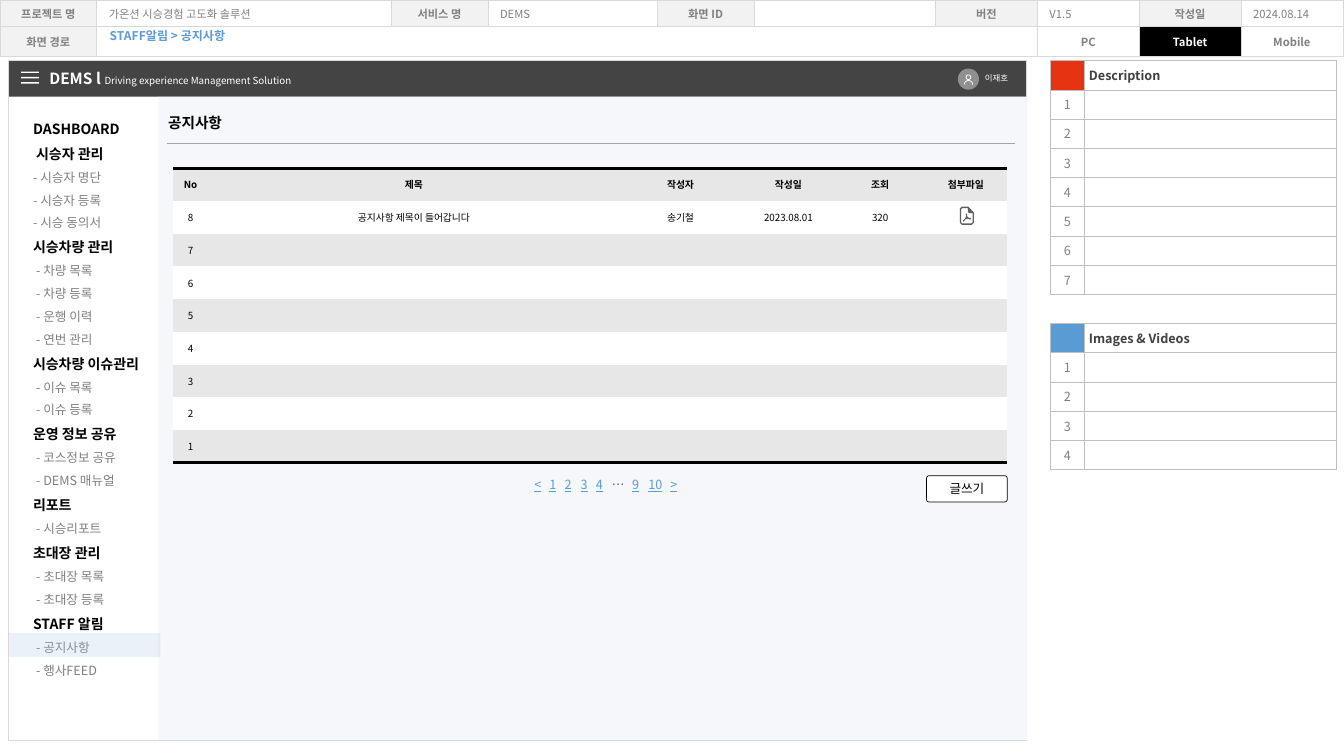
from math import cos, pi, sin

from lxml import etree
from pptx import Presentation
from pptx.dml.color import RGBColor
from pptx.enum.shapes import MSO_CONNECTOR as CONN, MSO_SHAPE as SHAPE
from pptx.enum.text import MSO_ANCHOR as ANCHOR, PP_ALIGN as ALIGN
from pptx.oxml.ns import qn
from pptx.util import Emu, Inches, Pt

W, H = 13.33, 7.5
FONT = "Noto Sans CJK KR"
GREY, BLUE, BAND = "808080", "5B9BD5", "E7E7E7"
NO_STYLE = "{2D5ABB26-0587-4C30-8999-92F81FD0307C}"

MENU = [
    ("DASHBOARD", []),
    ("시승자 관리", ["시승자 명단", "시승자 등록", "시승 동의서"]),
    ("시승차량 관리", ["차량 목록", "차량 등록", "운행 이력", "연번 관리"]),
    ("시승차량 이슈관리", ["이슈 목록", "이슈 등록"]),
    ("운영 정보 공유", ["코스정보 공유", "DEMS 매뉴얼"]),
    ("리포트", ["시승리포트"]),
    ("초대장 관리", ["초대장 목록", "초대장 등록"]),
    ("STAFF 알림", ["공지사항", "행사FEED"]),
]


def rgb(value):
    return RGBColor.from_string(value)


def style(r, size, color, bold=False, underline=False):
    f = r.font
    f.size, f.bold, f.underline, f.name = Pt(size), bold, underline, FONT
    f.color.rgb = rgb(color)
    etree.SubElement(r._r.get_or_add_rPr(), qn("a:ea")).set("typeface", FONT)


def add_run(p, text, *look, **more):
    r = p.add_run()
    r.text = text
    style(r, *look, **more)


def text_box(s, x, y, w, h, text="", *look, anchor=ANCHOR.TOP):
    tf = s.shapes.add_textbox(*map(Inches, (x, y, w, h))).text_frame
    tf.word_wrap, tf.vertical_anchor = True, anchor
    if text:
        tf.text = text
        style(tf.paragraphs[0].runs[0], *look)
    return tf


def paint(sp, fill=None, line=None, width=0.25):
    sp.shadow.inherit = False
    if fill:
        sp.fill.solid()
        sp.fill.fore_color.rgb = rgb(fill)
    else:
        sp.fill.background()
    if line:
        sp.line.color.rgb, sp.line.width = rgb(line), Pt(width)
    else:
        sp.line.fill.background()
    return sp


def shape(s, kind, x, y, w, h, *look):
    return paint(s.shapes.add_shape(kind, *map(Inches, (x, y, w, h))), *look)


def icon(s, x, y, fill, contours):
    """Filled outline; the points are hundredths of an inch from x, y."""
    paths = [[(Inches(x + a / 100), Inches(y + b / 100)) for a, b in c] for c in contours]
    fb = s.shapes.build_freeform(*paths[0][0])
    fb.add_line_segments(paths[0][1:])
    for pts in paths[1:]:
        fb.move_to(*pts[0])
        fb.add_line_segments(pts[1:])
    paint(fb.convert_to_shape(), fill)


def arc(cx, cy, radius, start, end, steps=20):
    angles = [start + (end - start) * i / steps for i in range(steps + 1)]
    return [(cx + radius * cos(a), cy + radius * sin(a)) for a in angles]


def add_table(s, x, y, cols, rows):
    frame = s.shapes.add_table(len(rows), len(cols), Inches(x), Inches(y),
                               Inches(sum(cols)), Inches(sum(rows)))
    t = frame.table
    t.first_row = t.horz_banding = False
    t._tbl.tblPr.find(qn("a:tableStyleId")).text = NO_STYLE
    for parts, sizes, side in ((t.columns, cols, "width"), (t.rows, rows, "height")):
        for part, size in zip(parts, sizes):
            setattr(part, side, Inches(size))
    return t


def fill_cell(c, text, size, color, bold=False, align=ALIGN.CENTER, fill=None,
              inset=0.05, borders="", line=("000000", 2)):
    c.vertical_anchor = ANCHOR.MIDDLE
    c.margin_left = c.margin_right = Inches(inset)
    c.margin_top = c.margin_bottom = Inches(0.03)
    p = c.text_frame.paragraphs[0]
    p.text, p.alignment = text, align
    if text:
        style(p.runs[0], size, color, bold)
    else:
        etree.SubElement(p._p, qn("a:endParaRPr")).set("sz", str(size * 100))
    if fill:
        c.fill.solid()
        c.fill.fore_color.rgb = rgb(fill)
    else:
        c.fill.background()
    for i, side in enumerate(b for b in "LRTB" if b in borders):
        ln = etree.Element(qn("a:ln" + side), w=str(Pt(line[1])))
        solid = etree.SubElement(ln, qn("a:solidFill"))
        etree.SubElement(solid, qn("a:srgbClr")).set("val", line[0])
        c._tc.get_or_add_tcPr().insert(i, ln)


def project_header(s, x, y):
    cols = [0.96, 2.92, 0.96, 1.68, 0.96, 1.8] + [1.01] * 4
    t = add_table(s, x, y, cols, [0.26, 0.3])
    top = ["프로젝트 명", "가온션 시승경험 고도화 솔루션", "서비스 명", "DEMS", "화면 ID",
           "", "버전", "V1.5", "작성일", "2024.08.14"]
    bottom = ["화면 경로"] + [""] * 6 + ["PC", "Tablet", "Mobile"]
    t.cell(1, 1).merge(t.cell(1, 6))
    for i, texts in enumerate((top, bottom)):
        for j, text in enumerate(texts):
            label = j % 2 == 0 if i == 0 else j == 0
            head = label or i == 1
            active = text == "Tablet"
            fill = "000000" if active else "F2F2F2" if label else None
            fill_cell(t.cell(i, j), text, 8, "FFFFFF" if active else GREY, head,
                      ALIGN.CENTER if head else ALIGN.LEFT, fill, 0.12, "LRTB", ("D9D9D9", 0.5))
    tf = text_box(s, x + 0.99, y + 0.27, 7.27, 0.22, "STAFF알림 > 공지사항", 8.6, BLUE, True)
    tf.paragraphs[0].line_spacing = 0.7


def notes_panel(s, x, y):
    rows = [("E63312", "Description")] + list(range(1, 8)) + [None]
    rows += [(BLUE, "Images & Videos")] + list(range(1, 5))
    t = add_table(s, x, y, [0.33, 2.5], [0.29] * len(rows))
    line = ("BFBFBF", 0.25)
    for i, row in enumerate(rows):
        left, right = t.cell(i, 0), t.cell(i, 1)
        edges = "LRTB" if row else "RTB"
        if row is None:
            left.merge(right)
        color, title = row if isinstance(row, tuple) else (None, "")
        number = str(row) if isinstance(row, int) else ""
        fill_cell(left, number, 9, GREY, fill=color, borders=edges, line=line)
        fill_cell(right, title, 9, "404040", True, ALIGN.LEFT, borders=edges, line=line)


def app_bar(s, x, y, w, h):
    shape(s, SHAPE.RECTANGLE, x, y, w, h, "444444")
    # User badge
    shape(s, SHAPE.OVAL, x + w - 0.68, y + 0.08, 0.21, 0.21, "8F8F8F")
    head = [arc(4.5, 2.7, 2.7, 0, 2 * pi), arc(4.5, 2.7, 1.9, 2 * pi, 0)]
    body = arc(4.5, 10, 4.5, pi, 2 * pi) + arc(4.5, 10, 3.7, 2 * pi, pi)
    icon(s, x + w - 0.62, y + 0.14, "FFFFFF", head + [body])
    text_box(s, x + w - 0.51, y + 0.08, 0.5, 0.2, "이재호", 6, "FFFFFF")
    # Product name
    tf = text_box(s, x + 0.31, y + 0.03, 4.32, 0.29, "DEMS l ", 11, "FFFFFF", True,
                  anchor=ANCHOR.MIDDLE)
    add_run(tf.paragraphs[0], "Driving experience Management Solution", 7, "FFFFFF")
    # Menu button
    bars = [[(0, b), (0, b + 1.4), (17.5, b + 1.4), (17.5, b)] for b in (0, 5.3, 10.6)]
    icon(s, x + 0.13, y + 0.11, "FFFFFF", bars)


def side_menu(s, x, y):
    tf = text_box(s, x + 0.15, y + 0.1, 1.4, 6.25)
    lines = [(text, head) for title, items in MENU
             for text, head in [(title, True)] + [("- " + i, False) for i in items]]
    for i, (text, head) in enumerate(lines):
        p = tf.paragraphs[0] if i == 0 else tf.add_paragraph()
        p.text, p.line_spacing = text, 1.5
        if i == 1 or not head and i > 4:
            p._p.get_or_add_pPr().set("marL", str(Inches(0.03)))
        style(p.runs[0], *((10, "000000", True) if head else (9, GREY)))
    # Current page
    mark = shape(s, SHAPE.RECTANGLE, x + 0.01, y + 5.32, 1.5, 0.24, "9DC3E6")
    clr = mark.fill._xPr.find(qn("a:solidFill"))[0]
    etree.SubElement(clr, qn("a:alpha")).set("val", "21000")


def page_links(s, x, y):
    tf = text_box(s, x, y, 1.9, 0.23)
    tf.margin_left = tf.margin_right = Inches(0.08)
    tf.margin_top = tf.margin_bottom = Inches(0.04)
    p = tf.paragraphs[0]
    tabs = etree.SubElement(p._p.get_or_add_pPr(), qn("a:tabLst"))
    for pos in (0.15, 0.3, 0.46, 0.61, 0.77, 0.97, 1.13, 1.35):
        etree.SubElement(tabs, qn("a:tab"), pos=str(Inches(pos)), algn="l")
    for i, label in enumerate(["<", "1", "2", "3", "4", "…", "9", "10", ">"]):
        if i:
            add_run(p, "\t", 9, BLUE)
        gap = label == "…"
        add_run(p, label, 9, "5F5F5F" if gap else BLUE, underline=not gap)


def notice_board(s, x, y, w, h):
    shape(s, SHAPE.RECTANGLE, x, y, w, h, "F5F7FA")
    text_box(s, x, y + 0.12, 6.67, 0.29, "공지사항", 10.5, "000000", True)
    rule = s.shapes.add_connector(CONN.STRAIGHT, *map(Inches, (x + 0.09, y + 0.46,
                                                             x + w - 0.12, y + 0.46)))
    rule.line.color.rgb, rule.line.width = rgb("A5A5A5"), Pt(0.5)
    etree.SubElement(rule._element.spPr, qn("a:effectLst"))
    # Notice list
    rows = [["No", "제목", "작성자", "작성일", "조회", "첨부파일"],
            ["8", "공지사항 제목이 들어갑니다", "송기철", "2023.08.01", "320", ""]]
    rows += [[str(n)] + [""] * 5 for n in range(7, 0, -1)]
    t = add_table(s, x + 0.15, y + 0.71, [0.34, 4.09, 1.2, 0.94, 0.88, 0.82],
                  [2.92 / len(rows)] * len(rows))
    for i, row in enumerate(rows):
        edge = "T" if i == 0 else "B" if i == len(rows) - 1 else ""
        for j, text in enumerate(row):
            fill_cell(t.cell(i, j), text, 7, "000000", i == 0,
                      fill="FFFFFF" if i % 2 else BAND, borders=edge)
    # Attached file
    page = [(0, 2), (2, 0), (8.5, 0), (14, 6), (14, 16), (12, 18), (2, 18), (0, 16), (0, 2)]
    inner = [(1.4, 2.5), (2.5, 1.4), (8, 1.4), (8, 5), (9, 6.4), (12.6, 6.4), (12.6, 15.5),
             (11.5, 16.6), (2.5, 16.6), (1.4, 15.5), (1.4, 2.5)]
    mark = [(6, 7), (7.2, 7), (7.2, 9.5), (8.6, 11), (11.2, 11.3), (11.2, 12.6), (9.5, 12.6),
            (8, 12), (5.5, 12.6), (4, 15), (3, 14.6), (3.2, 13.6), (5, 12.2), (6.2, 9.5), (6, 7)]
    icon(s, x + 7.95, y + 1.09, "5F5F5F", [page, inner[::-1], mark])
    # Write button and paging
    b = shape(s, SHAPE.ROUNDED_RECTANGLE, x + 7.62, y + 3.76, 0.8, 0.26, "FFFFFF", "000000", 0.5)
    b.adjustments[0] = 0.09
    tf = b.text_frame
    tf.text, tf.vertical_anchor = "글쓰기", ANCHOR.MIDDLE
    tf.paragraphs[0].alignment = ALIGN.CENTER
    style(tf.paragraphs[0].runs[0], 9, "000000")
    page_links(s, x + 3.65, y + 3.73)


def app_screen(s, x, y, w, h):
    bar, menu = 0.36, 1.49
    app_bar(s, x, y, w, bar)
    shape(s, SHAPE.RECTANGLE, x, y, w, h, None, "D9D9D9")
    notice_board(s, x + menu, y + bar, w - menu + 0.01, h - bar)
    side_menu(s, x, y + bar)


def main():
    prs = Presentation()
    prs.slide_width, prs.slide_height = Inches(W), Inches(H)
    s = prs.slides.add_slide(prs.slide_layouts[6])
    project_header(s, 0, 0)
    notes_panel(s, 10.42, 0.6)
    app_screen(s, 0.08, 0.6, 10.1, 6.74)
    prs.save("out.pptx")


if __name__ == "__main__":
    main()
